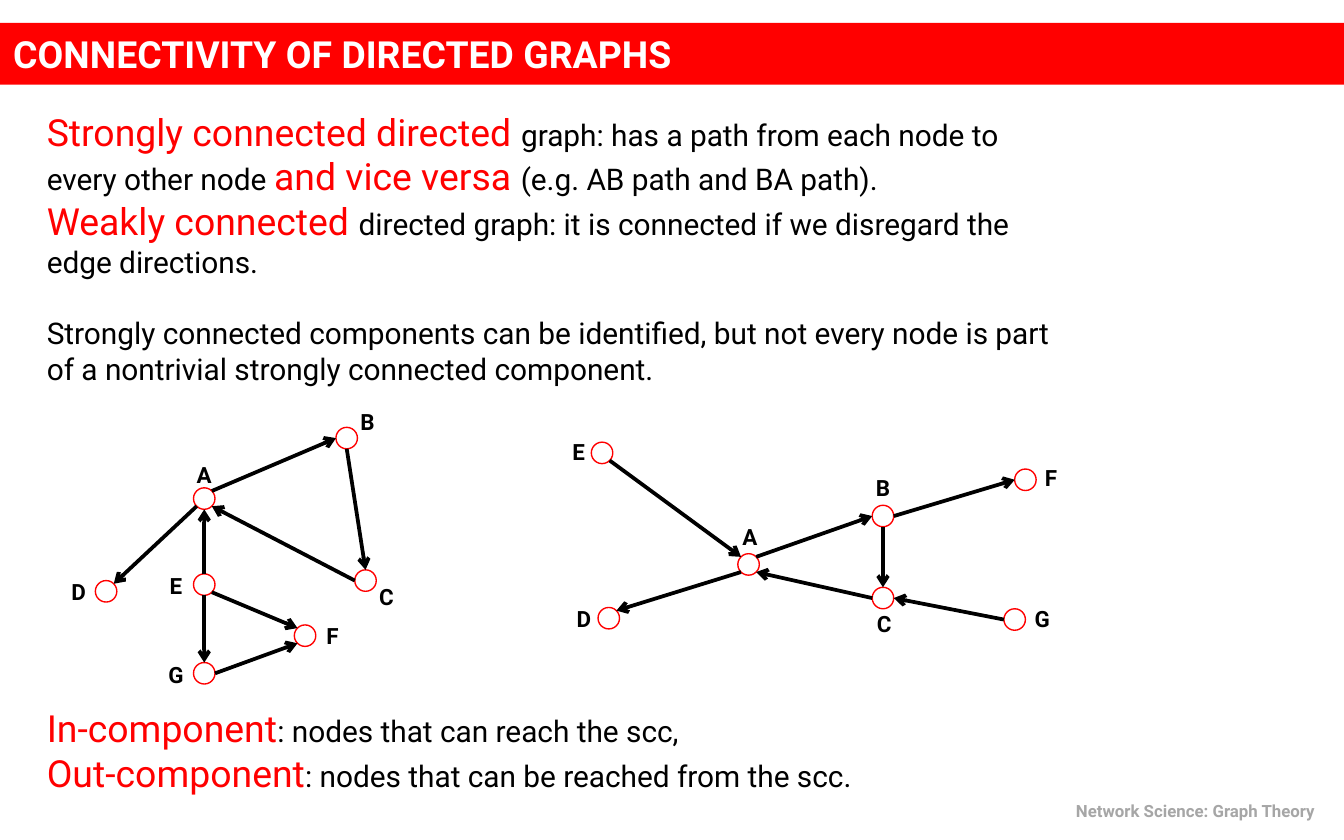
import math

import pptx
import pptx.dml.color
import pptx.enum.shapes
import pptx.enum.text
import pptx.oxml
import pptx.oxml.ns
import pptx.util

COLS, ROWS = 100, 62.5
WIDE, HIGH = pptx.util.Inches(10), pptx.util.Inches(6.25)
SIZE = 1.6
SITES = ["e", "se", "s", "sw", "w", "nw", "n", "ne"]
ALIGN = pptx.enum.text.PP_ALIGN
ANCHOR = pptx.enum.text.MSO_ANCHOR
SHAPE = pptx.enum.shapes.MSO_SHAPE

KEY = {"size": 20, "color": "FF0000"}
PLAIN = {"size": 16, "color": "000000"}
HEAD = {"size": 20, "color": "FFFFFF", "bold": True}
FOOT = {"size": 9, "color": "A6A6A6", "bold": True}
LABEL = {"size": 12, "color": "000000", "bold": True}

INTRO = [
    [("Strongly connected directed ", KEY), ("graph: has a path from each node to", PLAIN)],
    [("every other node ", PLAIN), ("and vice versa ", KEY),
     ("(e.g. AB path and BA path).", PLAIN)],
    [("Weakly connected ", KEY),
     ("directed graph: it is connected if we disregard the", PLAIN)],
    [("edge directions.", PLAIN)],
    [("Strongly connected components can be identified, but not every node is part", PLAIN)],
    [("of a nontrivial strongly connected component.", PLAIN)],
]
TERMS = [
    [("In-component", KEY), (": nodes that can reach the scc,", PLAIN)],
    [("Out-component", KEY), (": nodes that can be reached from the scc.", PLAIN)],
]

LEFT = {
    "nodes": {
        "A": (11.2, 7.1, 0, -1.8), "B": (21.8, 2.6, 1.55, -1.2),
        "C": (23.2, 13.2, 1.55, 1.2), "D": (3.9, 14, -2.05, 0),
        "E": (11.2, 13.5, -2.1, 0.1), "F": (18.7, 17.3, 2.05, 0),
        "G": (11.2, 20.1, -2.1, 0.1),
    },
    "edges": ["A sw D ne", "A ne B w", "B s C n", "C w A se",
              "G e F sw", "E se F nw", "E s G n", "E n A s"],
}
RIGHT = {
    "nodes": {
        "A": (14.7, 12, 0.1, -2.1), "B": (24.7, 8.4, 0, -2.1),
        "C": (24.7, 14.5, 0.1, 1.9), "D": (4.3, 16, -1.85, 0),
        "E": (3.8, 3.7, -1.75, -0.1), "F": (35.3, 5.7, 1.9, -0.2),
        "G": (34.5, 16.1, 2.05, -0.1),
    },
    "edges": ["E se A nw", "A ne B w", "B s C n", "C w A se",
              "G w C e", "B e F w", "A sw D ne"],
}


def hue(code):
    """Turn a hex string into a colour."""
    return pptx.dml.color.RGBColor.from_string(code)


def cells(x, y):
    """Turn grid columns and rows into slide lengths."""
    return round(x * WIDE / COLS), round(y * HIGH / ROWS)


def span(box):
    """Turn a grid box into left, top, width and height."""
    return cells(*box[:2]) + cells(*box[2:])


def apply(item, marks):
    """Set each format value on an item."""
    for name, value in marks.items():
        setattr(item, name, value)


def write(frame, lines, align=ALIGN.LEFT, **marks):
    """Fill a text frame with lines of styled runs."""
    apply(frame, {"word_wrap": True, **marks})
    for at, line in enumerate(lines):
        para = frame.paragraphs[0] if at == 0 else frame.add_paragraph()
        para.alignment = align
        for words, style in line:
            run = para.add_run()
            run.text = words
            apply(run.font, {"name": "Roboto", "bold": style.get("bold", False),
                             "size": pptx.util.Pt(style["size"])})
            run.font.color.rgb = hue(style["color"])


def text(slide, box, lines, **marks):
    """Place a text box and return its frame."""
    frame = slide.shapes.add_textbox(*span(box)).text_frame
    write(frame, lines, **marks)
    return frame


def banner(slide, box, words):
    """Place the title bar."""
    bar = slide.shapes.add_shape(SHAPE.RECTANGLE, *span(box))
    bar.shadow.inherit = False
    bar.fill.solid()
    bar.fill.fore_color.rgb = hue("FF0000")
    bar.line.fill.background()
    write(bar.text_frame, [[(words, HEAD)]], vertical_anchor=ANCHOR.MIDDLE)


def intro(slide, box):
    """Place the definitions, with a gap before the remark."""
    frame = text(slide, box, INTRO)
    frame.paragraphs[4].space_before = pptx.util.Pt(19)


def node(slide, x, y):
    """Draw a ring centred on a grid point."""
    ring = slide.shapes.add_shape(
        SHAPE.OVAL, *span((x - SIZE / 2, y - SIZE / 2, SIZE, SIZE)))
    ring.shadow.inherit = False
    ring.fill.background()
    ring.line.color.rgb = hue("FF0000")
    ring.line.width = pptx.util.Pt(0.75)


def rim(x, y, site):
    """Find the point of a ring at a compass site."""
    turn = SITES.index(site) * math.pi / 4
    return cells(x + SIZE / 2 * math.cos(turn), y + SIZE / 2 * math.sin(turn))


def arrow(slide, start, end):
    """Draw an arrow between two slide points."""
    link = slide.shapes.add_connector(
        pptx.enum.shapes.MSO_CONNECTOR.STRAIGHT, *start, *end)
    link.line.color.rgb = hue("000000")
    link.line.width = pptx.util.Pt(2)
    tag = pptx.oxml.ns.qn
    tip = link.line._get_or_add_ln().makeelement(tag("a:tailEnd"), {"type": "arrow"})
    link.line._get_or_add_ln().append(tip)
    props = link._element.spPr
    props.append(props.makeelement(tag("a:effectLst"), {}))


def graph(slide, box, data):
    """Draw a directed graph with its labels inside a box."""
    left, top = box[:2]
    spots = {}
    for name, (x, y, dx, dy) in data["nodes"].items():
        x, y = spots[name] = left + x, top + y
        node(slide, x, y)
        text(slide, (x + dx - 1.35, y + dy - 1, 2.7, 2), [[(name, LABEL)]],
             align=ALIGN.CENTER, margin_left=0, margin_right=0,
             margin_top=0, margin_bottom=0)
    for edge in data["edges"]:
        tail, out, head, into = edge.split()
        arrow(slide, rim(*spots[tail], out), rim(*spots[head], into))


def main():
    """Build and save the slide."""
    deck = pptx.Presentation()
    apply(deck, {"slide_width": WIDE, "slide_height": HIGH})
    slide = deck.slides.add_slide(deck.slide_layouts[6])
    banner(slide, (0, 1.7, COLS, 4.6), "CONNECTIVITY OF DIRECTED GRAPHS")
    intro(slide, (2.5, 7.6, 80, 21.9))
    graph(slide, (4, 30, 26, 22), LEFT)
    graph(slide, (41, 30, 39, 18), RIGHT)
    text(slide, (2.5, 52, 83.3, 7.7), TERMS)
    text(slide, (70.8, 59.1, 28.3, 2.5),
         [[("Network Science: Graph Theory ", FOOT)]], align=ALIGN.RIGHT)
    deck.save("out.pptx")


if __name__ == "__main__":
    main()
